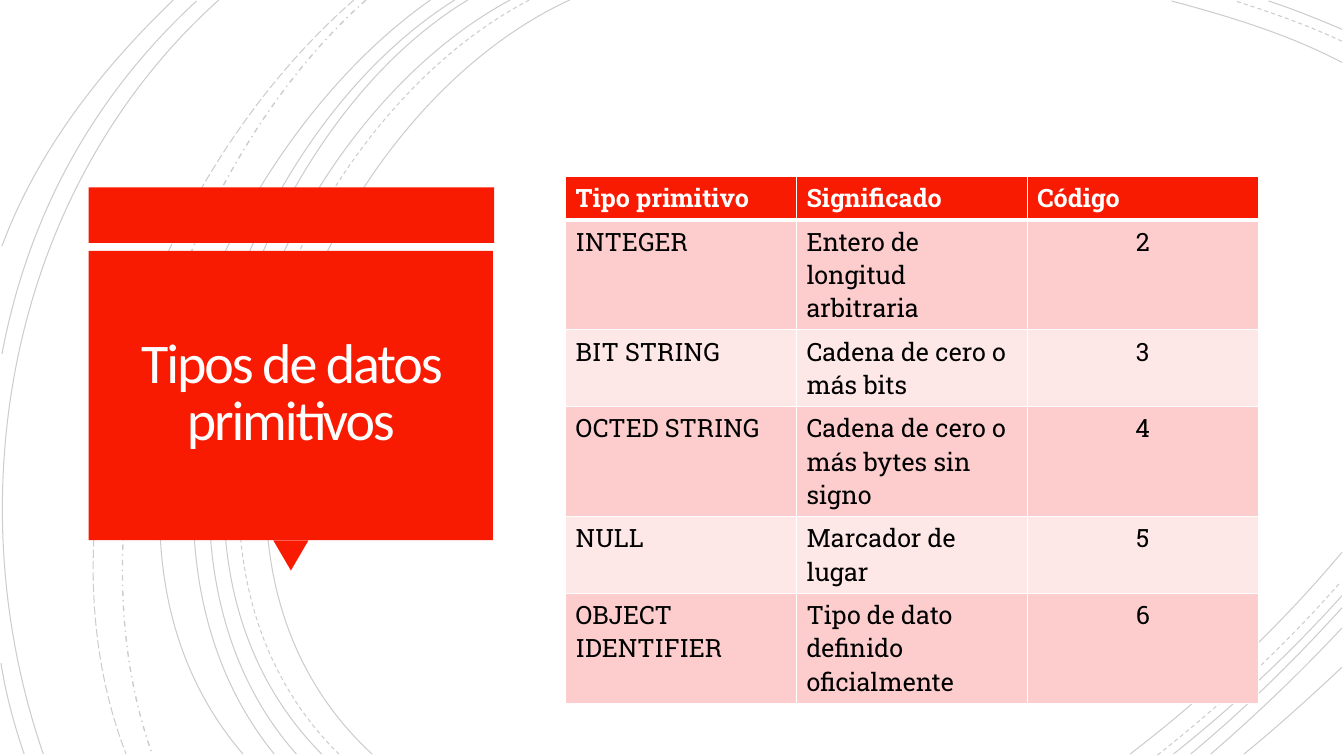
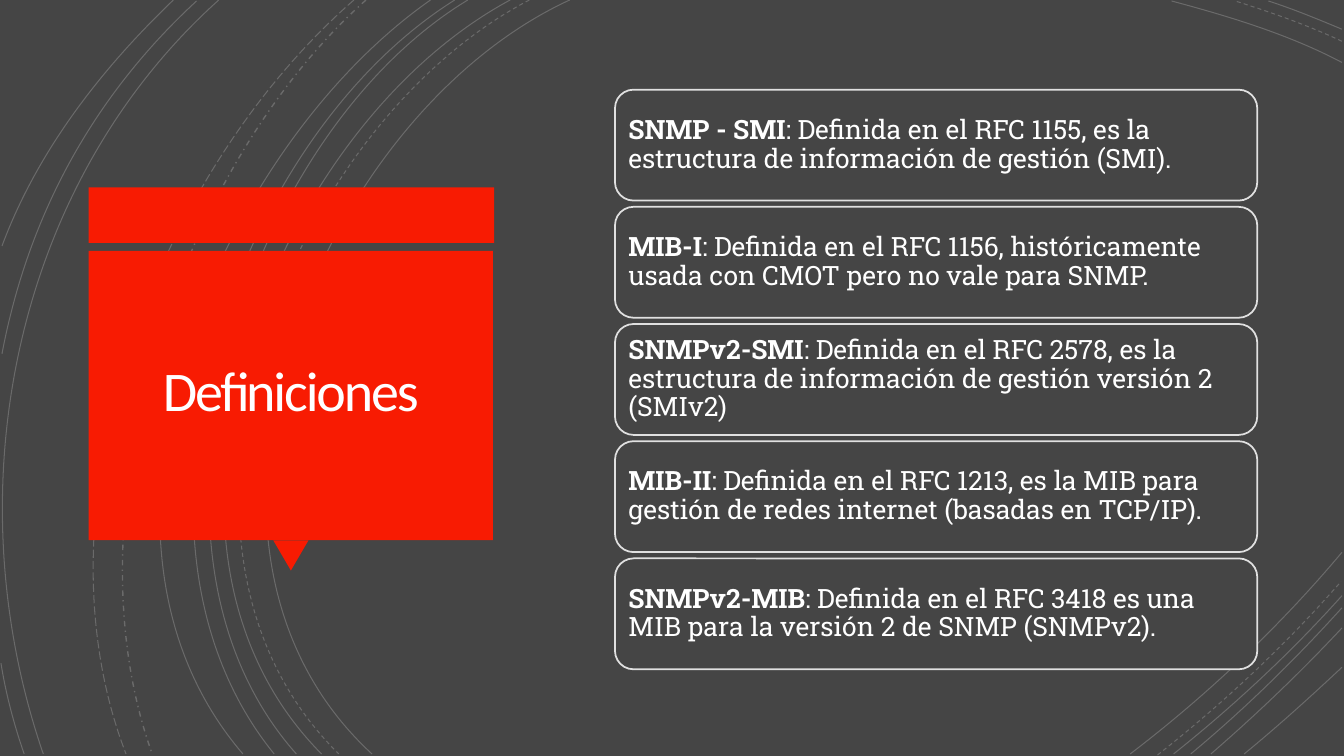
from lxml.etree import SubElement
from pptx import Presentation
from pptx.dml.color import RGBColor
from pptx.enum.dml import MSO_LINE_DASH_STYLE as DASH
from pptx.enum.shapes import MSO_SHAPE
from pptx.enum.text import MSO_ANCHOR, PP_ALIGN
from pptx.oxml.ns import qn
from pptx.util import Inches, Pt

COLUMNS, ROWS = 13.33, 7.5
COLORS = {
    "red": "F81B02", "white": "FFFFFF", "title": "FFFEFF", "black": "000000",
    "dark": "454545", "outline": "E0E0E0", "odd": "FCCDCC", "even": "FEE8E7",
}
TITLE_FONT = {"name": "Calibri", "size": Pt(40), "bold": False}
TABLE_FONT = {"name": "Roboto Slab", "size": Pt(18)}
CARD_FONT = {"name": "Roboto Slab", "size": Pt(19)}

ARCS = {
    (DASH.SOLID, 0.75): [
        [(5.65, 0), (3.15, 1.15), (1.43, 5.4), (3.69, 7.48)],
        [(13.31, 0.62), (12.78, 0.34), (12.18, 0.16), (11.62, 0.01)],
        [(11.21, 7.48), (11.97, 6.9), (12.69, 6.22), (13.31, 5.48)],
        [(5.06, 0), (2.7, 1.27), (1.1, 5.37), (3.19, 7.48)],
        [(13.31, 0.29), (13.07, 0.19), (12.83, 0.09), (12.58, 0.01)],
        [(11.64, 7.48), (12.23, 7.01), (12.8, 6.48), (13.31, 5.91)],
        [(4.64, 0), (2.44, 1.33), (1.1, 5.41), (2.94, 7.48)],
        [(11.81, 7.48), (12.34, 7.04), (12.84, 6.55), (13.31, 6.03)],
        [(4.51, 0), (2.31, 1.38), (0.97, 5.33), (2.72, 7.48)],
        [(12.01, 7.48), (12.46, 7.09), (12.9, 6.67), (13.31, 6.23)],
        [(4.27, 0), (2.17, 1.47), (0.53, 5.29), (2.41, 7.48)],
        [(12.34, 7.48), (12.67, 7.21), (12.99, 6.92), (13.31, 6.62)],
        [(2.17, 0), (0.11, 1.85), (-0.46, 4.9), (0.43, 7.48)],
        [(1.95, 0.01), (0.92, 0.96), (0.28, 2.14), (0.02, 3.51)],
        [(0.01, 6.58), (0.06, 6.89), (0.14, 7.19), (0.24, 7.48)],
        [(1.72, 0), (1, 0.69), (0.37, 1.5), (0.02, 2.44)],
    ],
    (DASH.DASH, 0.75): [
        [(5.25, 0), (2.85, 1.25), (1.23, 5.37), (3.36, 7.48)],
        [(13.31, 0.41), (12.97, 0.25), (12.6, 0.12), (12.25, 0.01)],
        [(11.48, 7.49), (12.13, 6.98), (12.75, 6.4), (13.3, 5.77)],
    ],
    (DASH.DASH_DOT, 1): [[(3.63, 0), (1.76, 1.66), (0.65, 5.09), (1.51, 7.48)]],
    (DASH.LONG_DASH, 0.75): [[(3.51, 0), (1.57, 1.69), (0.29, 4.99), (1.25, 7.48)]],
}

PRIMITIVES = [
    ("Tipo primitivo", "Significado", "Código"),
    ("INTEGER", "Entero de longitud arbitraria", "2"),
    ("BIT STRING", "Cadena de cero o más bits", "3"),
    ("OCTED STRING", "Cadena de cero o más bytes sin signo", "4"),
    ("NULL", "Marcador de lugar", "5"),
    ("OBJECT IDENTIFIER", "Tipo de dato definido oficialmente", "6"),
]
DEFINITIONS = [
    ("SNMP - SMI", ": Definida en el RFC 1155, es la estructura de información de gestión (SMI)."),
    ("MIB-I", ": Definida en el RFC 1156, históricamente usada con CMOT pero no vale para SNMP."),
    ("SNMPv2-SMI", ": Definida en el RFC 2578, es la estructura de información de gestión versión 2 (SMIv2)"),
    ("MIB-II", ": Definida en el RFC 1213, es la MIB para gestión de redes internet (basadas en TCP/IP)."),
    ("SNMPv2-MIB", ": Definida en el RFC 3418 es una MIB para la versión 2 de SNMP (SNMPv2)."),
]


def rgb(color):
    return RGBColor.from_string(COLORS[color])


def grid(*lengths):
    return [Inches(length) for length in lengths]


def assign(target, values):
    for name, value in values.items():
        setattr(target, name, value)


class Deck:
    def __init__(self):
        self.presentation = Presentation()
        size = dict(zip(("slide_width", "slide_height"), grid(COLUMNS, ROWS)))
        assign(self.presentation, size)
        self.slide = None

    def start(self, heading, background, arc_color):
        layout = self.presentation.slide_layouts[5]
        self.slide = self.presentation.slides.add_slide(layout)
        backdrop = self.slide.background.fill
        backdrop.solid()
        backdrop.fore_color.rgb = rgb(background)
        self.arcs(arc_color)
        self.banner()
        self.title(heading)

    def arcs(self, color):
        group = self.slide.shapes.add_group_shape()
        for (dash, width), curves in ARCS.items():
            for curve in curves:
                self.arc(group, [grid(*point) for point in curve], color, dash, width)

    def arc(self, group, points, color, dash, width):
        builder = group.shapes.build_freeform(*points[0], scale=1.0)
        builder.add_line_segments(points[1:], close=False)
        arc = builder.convert_to_shape()
        arc.shadow.inherit = False
        arc.fill.background()
        assign(arc.line, {"width": Pt(width), "dash_style": dash})
        arc.line.color.rgb = rgb(color)
        ink = next(arc.element.iter(qn("a:srgbClr")))
        SubElement(ink, qn("a:alpha"), val="20000")
        segments = list(arc.element.iter(qn("a:lnTo")))
        outline = segments[0].getparent()
        bezier = SubElement(outline, qn("a:cubicBezTo"))
        for segment in segments:
            bezier.append(segment[0])
            outline.remove(segment)

    def block(self, shapes, kind, box, fill, outline=None):
        block = shapes.add_shape(kind, *grid(*box))
        block.shadow.inherit = False
        block.fill.solid()
        block.fill.fore_color.rgb = rgb(fill)
        if outline:
            block.line.width = Pt(1.25)
            block.line.color.rgb = rgb(outline)
        else:
            block.line.fill.background()
        return block

    def banner(self):
        shapes = self.slide.shapes.add_group_shape().shapes
        self.block(shapes, MSO_SHAPE.RECTANGLE, (0.88, 1.86, 4.02, 0.55), "red")
        pointer = self.block(shapes, MSO_SHAPE.ISOSCELES_TRIANGLE, (2.71, 5.36, 0.35, 0.3), "red")
        pointer.rotation = 180
        self.block(shapes, MSO_SHAPE.RECTANGLE, (0.88, 2.49, 4.01, 2.87), "red")

    def frame(self, frame, inset):
        sides = ("margin_left", "margin_top", "margin_right", "margin_bottom")
        assign(frame, dict.fromkeys(sides, Inches(inset)))
        assign(frame, {"word_wrap": True, "vertical_anchor": MSO_ANCHOR.MIDDLE})

    def text(self, paragraph, words, style, color, **extra):
        run = paragraph.add_run()
        run.text = words
        assign(run.font, {**style, **extra})
        run.font.color.rgb = rgb(color)
        return run

    def title(self, heading):
        title = self.slide.shapes.title
        assign(title, dict(zip(("left", "top", "width", "height"), grid(0.97, 2.57, 3.83, 2.69))))
        self.frame(title.text_frame, 0.25)
        paragraph = title.text_frame.paragraphs[0]
        assign(paragraph, {"alignment": PP_ALIGN.CENTER, "line_spacing": 0.85})
        run = self.text(paragraph, heading, TITLE_FONT, "title")
        run._r.get_or_add_rPr().set("spc", "-150")
        title.element.getparent().append(title.element)

    def borders(self, cell, widths):
        properties = cell._tc.get_or_add_tcPr()
        for side, width in widths.items():
            line = SubElement(properties, qn(f"a:ln{side}"), w=str(int(Pt(width))))
            paint = SubElement(line, qn("a:solidFill"))
            SubElement(paint, qn("a:srgbClr"), val=COLORS["white"])

    def table(self, rows, box, row_height):
        holder = self.slide.shapes.add_table(len(rows), len(rows[0]), *grid(*box))
        table = holder.table
        table.horz_banding = False
        for index, texts in enumerate(rows):
            table.rows[index].height = Inches(row_height)
            header = index == 0
            fill = "red" if header else ("even", "odd")[index % 2]
            widths = {"L": 1, "R": 1, "T": 3 if index == 1 else 1, "B": 3 if header else 1}
            for column, words in enumerate(texts):
                cell = table.cell(index, column)
                self.borders(cell, widths)
                cell.fill.solid()
                cell.fill.fore_color.rgb = rgb(fill)
                paragraph = cell.text_frame.paragraphs[0]
                if words.isdigit():
                    paragraph.alignment = PP_ALIGN.CENTER
                self.text(paragraph, words, TABLE_FONT, "white" if header else "black", bold=header)
        holder.height = Inches(box[3])

    def cards(self, entries, left, top, width, height, last_top):
        shapes = self.slide.shapes.add_group_shape().shapes
        pitch = (last_top - top) / (len(entries) - 1)
        for index, (term, meaning) in enumerate(entries):
            box = (left, top + index * pitch, width, height)
            card = self.block(shapes, MSO_SHAPE.ROUNDED_RECTANGLE, box, "dark", "outline")
            self.frame(card.text_frame, 0.08)
            paragraph = card.text_frame.paragraphs[0]
            assign(paragraph, {"alignment": PP_ALIGN.LEFT, "line_spacing": 0.9})
            self.text(paragraph, term, CARD_FONT, "white", bold=True)
            self.text(paragraph, meaning, CARD_FONT, "white", bold=False)


deck = Deck()
deck.start("Tipos de datos primitivos", "white", "black")
deck.table(PRIMITIVES, (5.61, 1.75, 6.87, 4.81), 0.41)
deck.start("Definiciones", "dark", "white")
deck.cards(DEFINITIONS, 6.1, 0.89, 6.37, 1.1, 5.54)
deck.presentation.save("out.pptx")
